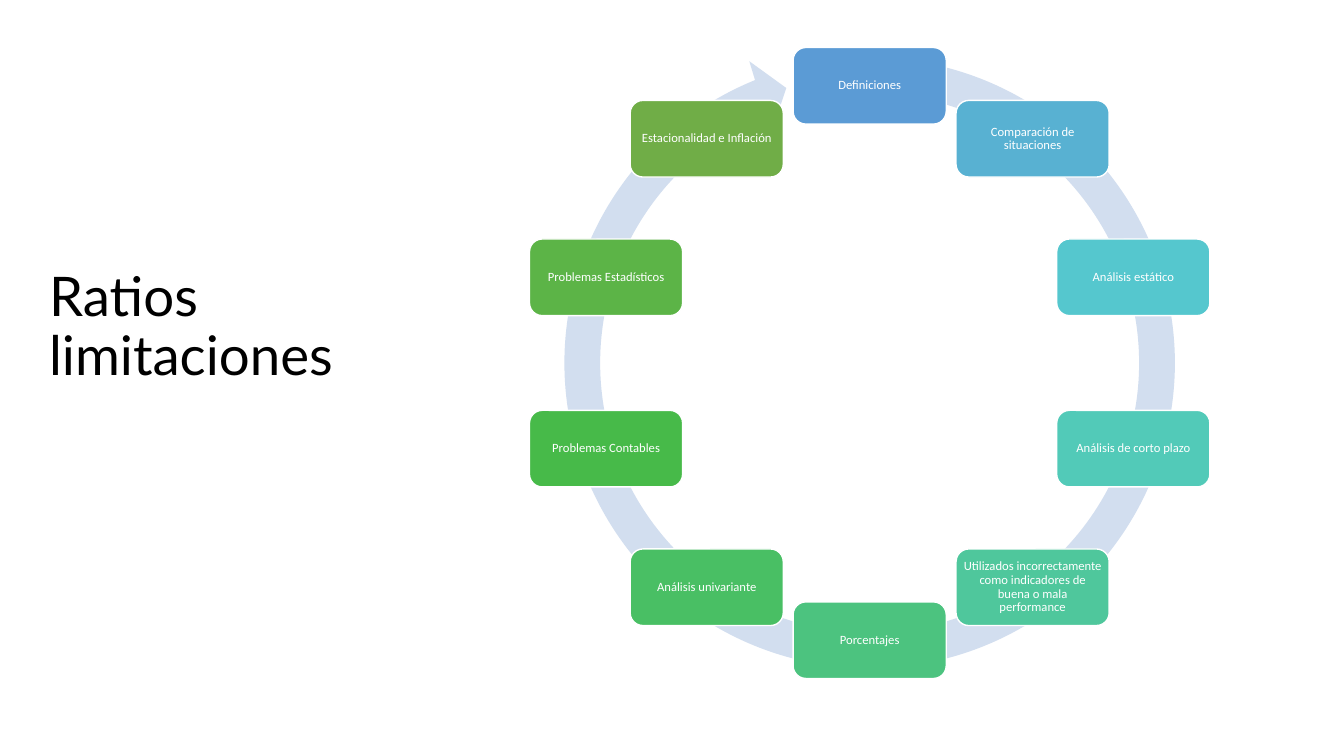
"""Builds a slide with a ring of ten limitations of financial ratios."""
import math
from dataclasses import dataclass

import pptx
import pptx.dml.color
import pptx.enum.shapes
import pptx.enum.text
import pptx.util

Pt = pptx.util.Pt
RGB = pptx.dml.color.RGBColor.from_string
SHAPE = pptx.enum.shapes.MSO_SHAPE
ALIGN = pptx.enum.text.PP_ALIGN


@dataclass(frozen=True)
class Theme:
    title_font: str = "Lato"
    label_font: str = "Calibri"
    title_size: float = 39
    label_size: float = 9
    title_color: str = "000000"
    label_color: str = "FFFFFF"
    outline: str = "FFFFFF"
    ring: str = "D2DEEF"


LIMITATIONS = [
    ("Definiciones", "5B9BD5"),
    ("Comparación de situaciones", "58B1D2"),
    ("Análisis estático", "55C7CE"),
    ("Análisis de corto plazo", "52CAB8"),
    ("Utilizados incorrectamente como indicadores de buena o mala performance", "4FC79C"),
    ("Porcentajes", "4CC37F"),
    ("Análisis univariante", "49BF64"),
    ("Problemas Contables", "47BA49"),
    ("Problemas Estadísticos", "5CB447"),
    ("Estacionalidad e Inflación", "70AD47"),
]


def write(tf, text, *, font, size, color, align, inset):
    tf.word_wrap = True
    tf.vertical_anchor = pptx.enum.text.MSO_ANCHOR.MIDDLE
    tf.margin_left = tf.margin_right = Pt(inset[0])
    tf.margin_top = tf.margin_bottom = Pt(inset[1])
    p = tf.paragraphs[0]
    p.alignment = align
    p.line_spacing = 0.9
    r = p.add_run()
    r.text = text
    r.font.name = font
    r.font.size = Pt(size)
    r.font.color.rgb = RGB(color)


class Deck:
    def __init__(self, prs, theme):
        self.theme = theme
        self.s = prs.slides.add_slide(prs.slide_layouts[6])

    def title(self, text, x, y, w, h):
        t = self.theme
        sp = self.s.shapes.add_textbox(Pt(x), Pt(y), Pt(w), Pt(h))
        write(sp.text_frame, text, font=t.title_font, size=t.title_size,
              color=t.title_color, align=ALIGN.LEFT, inset=(7.2, 3.6))

    def shape(self, kind, cx, cy, w, h, fill):
        sp = self.s.shapes.add_shape(kind, Pt(cx - w / 2), Pt(cy - h / 2), Pt(w), Pt(h))
        sp.shadow.inherit = False
        sp.fill.solid()
        sp.fill.fore_color.rgb = RGB(fill)
        sp.line.fill.background()
        return sp

    def ring(self, cx, cy, size, *, band, head, head_angle, end, start):
        sp = self.shape(SHAPE.CIRCULAR_ARROW, cx, cy, size, size, self.theme.ring)
        degree = 60000 / 100000
        values = (band, head_angle * degree, end * degree, start * degree, head)
        for i, value in enumerate(values):
            sp.adjustments[i] = value

    def box(self, text, cx, cy, w, h, fill):
        t = self.theme
        sp = self.shape(SHAPE.ROUNDED_RECTANGLE, cx, cy, w, h, fill)
        sp.line.color.rgb = RGB(t.outline)
        sp.line.width = Pt(1)
        write(sp.text_frame, text, font=t.label_font, size=t.label_size,
              color=t.label_color, align=ALIGN.CENTER, inset=(2.8, 2.8))


def main():
    prs = pptx.Presentation()
    prs.slide_width, prs.slide_height = Pt(960), Pt(540)
    deck = Deck(prs, Theme())
    deck.title("Ratios limitaciones", 28, 95, 281.5, 278.5)

    cx, cy, radius = 621.2, 259.3, 198
    deck.ring(cx, cy, 464.4, band=5.5 / 100, head=5.8 / 100,
              head_angle=5.51, end=247.62, start=279.29)
    for i, (text, fill) in enumerate(LIMITATIONS):
        angle = math.tau * i / len(LIMITATIONS)
        deck.box(text, cx + radius * math.sin(angle), cy - radius * math.cos(angle),
                 109.4, 54.7, fill)
    prs.save("out.pptx")


if __name__ == "__main__":
    main()
